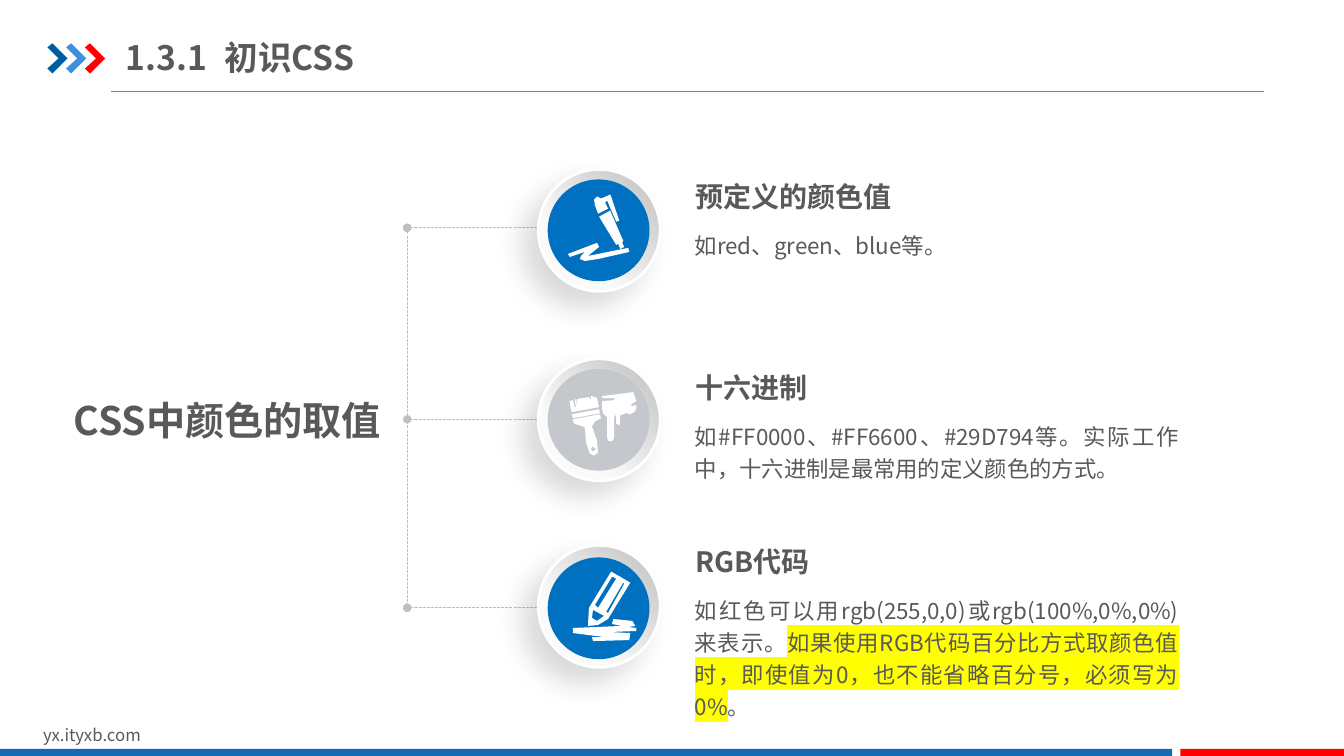
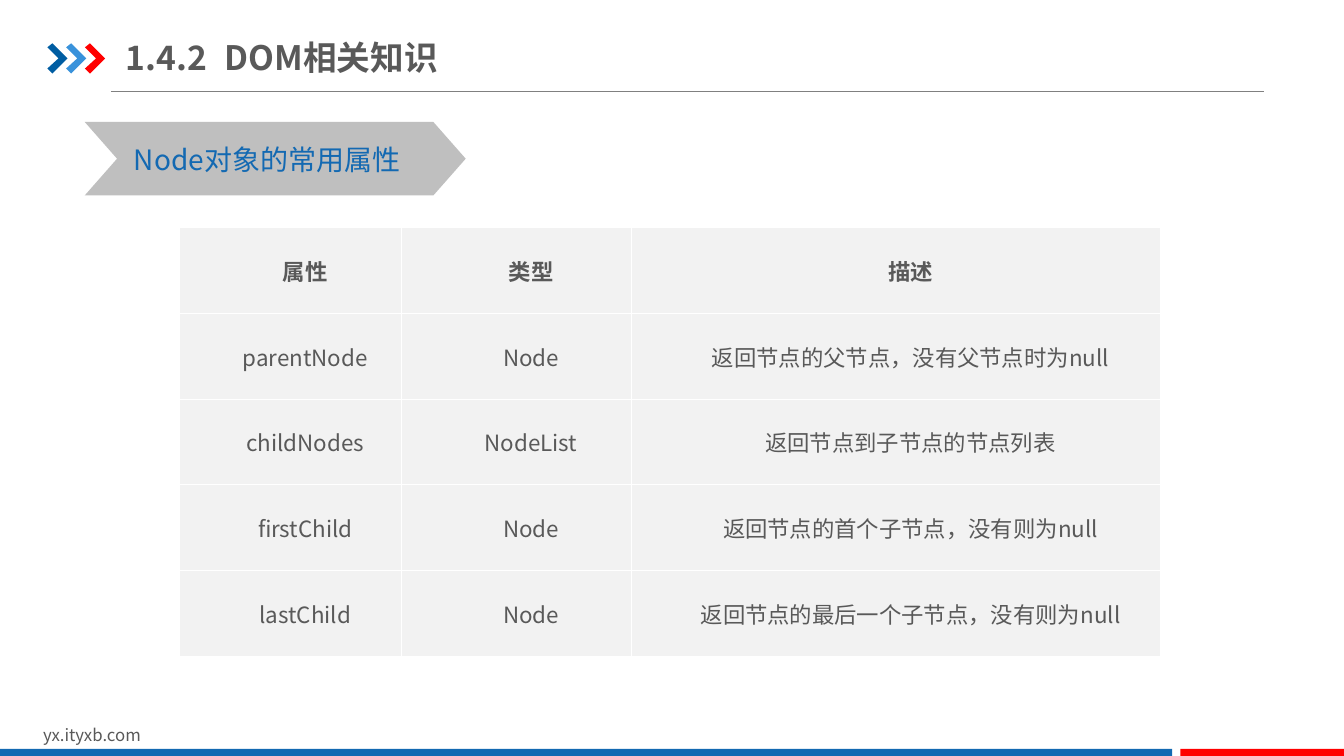
"""Build two course slides on CSS colour values and DOM node properties."""
import lxml.etree
import pptx
import pptx.dml.color
import pptx.enum.dml
import pptx.enum.shapes
import pptx.enum.text
import pptx.oxml.ns
import pptx.util

COLS, ROWS = 80, 45
FONT = "Noto Sans CJK SC"
GREY, BLUE, RED, WHITE = "595959", "1369B2", "FF0000", "FFFFFF"
SILVER, YELLOW = "BFBFBF", "FFFF00"
DISC_BLUE, DISC_GREY = "0070C0", "C4C7CB"
ALIGN = pptx.enum.text.PP_ALIGN
ANCHOR = pptx.enum.text.MSO_ANCHOR
SHAPE = pptx.enum.shapes.MSO_SHAPE
STRAIGHT = pptx.enum.shapes.MSO_CONNECTOR.STRAIGHT

FONTS = {
    name: {"name": FONT, "size": pptx.util.Pt(size), "bold": bold}
    for name, size, bold in [
        ("title", 24, True), ("topic", 28, True), ("heading", 20, True),
        ("label", 20, False), ("body", 16, False), ("header", 16, True),
        ("footer", 12, False)]
}
PARAGRAPHS = {
    "title": {"alignment": ALIGN.LEFT},
    "body": {"alignment": ALIGN.JUSTIFY, "line_spacing": 1.2},
}

ARROW = [[(0, 4), (5, 0), (20, 15), (5, 30), (0, 25), (11, 15)]]
PEN = [
    [(51, 37), (62, 31), (75, 61), (74, 63), (76, 67), (72, 69), (70, 64), (68, 65)],
    [(20, 74), (22, 77), (37, 72), (33, 76), (32, 79), (37, 81), (50, 79), (81, 72),
     (80, 68), (40, 76), (51, 67), (49, 63)],
    [(53, 19), (49, 17), (46, 20), (47, 26), (50, 34), (60, 29), (57, 23), (59, 21),
     (68, 42), (71, 41), (63, 17), (62, 15), (60, 16)],
]
BRUSHES = [
    [(72, 46), (72, 54), (71, 56), (68, 54), (68, 45), (66, 48), (66, 68), (65, 71),
     (62, 72), (60, 71), (59, 68), (59, 48), (55, 44), (54, 39), (54, 32), (66, 31),
     (67, 29), (54, 29), (54, 27), (85, 23), (88, 32), (83, 35), (83, 37), (88, 36),
     (88, 39), (86, 43), (82, 45), (78, 44)],
    [(24, 45), (51, 40), (52, 44), (25, 49)],
    [(52, 45), (25, 50), (26, 54), (37, 58), (38, 73), (42, 84), (46, 86), (50, 83),
     (49, 71), (44, 57), (47, 52), (53, 49)],
    [(44, 77), (48, 79), (45, 82), (43, 80)],
    [(51, 38), (49, 29), (44, 27), (43, 27), (43, 31), (41, 28), (29, 30), (30, 38),
     (28, 30), (27, 31), (28, 38), (27, 38), (25, 31), (22, 32), (22, 35), (24, 43)],
]
PENCIL = [
    [(63, 14), (82, 25), (60, 61), (50, 67), (40, 68), (41, 50)],
    [(81, 82), (82, 75), (61, 74), (88, 73), (88, 70), (80, 69), (87, 68), (84, 63),
     (65, 61), (64, 66), (73, 68), (25, 70), (25, 75), (56, 79), (44, 79), (45, 83)],
    [(49, 63), (56, 58), (45, 52), (44, 60)],
    [(75, 25), (58, 54), (60, 55), (76, 26)],
    [(64, 19), (47, 47), (50, 50), (68, 21)],
]


def rgb(color):
    """Return the colour for a hex string."""
    return pptx.dml.color.RGBColor.from_string(color)


def paint(fill, color):
    """Give a shape, line or font fill one solid colour."""
    fill.solid()
    fill.fore_color.rgb = rgb(color)


def apply(target, values):
    """Set each attribute named in a dict of format values."""
    for key, value in values.items():
        setattr(target, key, value)


def add_xml(parent, tag, **attributes):
    """Append a DrawingML element and return it."""
    element = lxml.etree.SubElement(parent, pptx.oxml.ns.qn("a:" + tag))
    for key, value in attributes.items():
        element.set(key, str(value))
    return element


class Deck:
    """Hold the presentation style and the current slide."""

    def __init__(self):
        """Start a widescreen presentation."""
        self.prs = pptx.Presentation()
        self.prs.slide_width = pptx.util.Inches(13.333333)
        self.prs.slide_height = pptx.util.Inches(7.5)
        self.s = None

    def x(self, cols):
        """Convert grid columns to a length."""
        return pptx.util.Emu(round(self.prs.slide_width * cols / COLS))

    def y(self, rows):
        """Convert grid rows to a length."""
        return pptx.util.Emu(round(self.prs.slide_height * rows / ROWS))

    def box(self, left, top, width, height):
        """Convert a grid box to lengths."""
        return self.x(left), self.y(top), self.x(width), self.y(height)

    def slide(self, number, title):
        """Add a slide with its title, arrows, rule and footer."""
        self.s = self.prs.slides.add_slide(self.prs.slide_layouts[5])
        self.line((6.6, 5.46), (75.24, 5.46), "808080")
        for i, color in enumerate(["005DA2", "3992DB", RED]):
            self.polygon(2.82 + 1.12 * i, 2.58, ARROW, color)
        self.text((1.98, 42.84, 19.08, 1.8), "yx.ityxb.com", "footer", inset=(0.6, 0.3))
        self.shape(SHAPE.RECTANGLE, (0, 44.58, 69.78, 0.54), BLUE)
        self.shape(SHAPE.RECTANGLE, (70.26, 44.58, 9.74, 0.54), RED)
        sp = self.s.shapes.title
        sp.left, sp.top, sp.width, sp.height = self.box(7.5, 1.74, 25.56, 3.3)
        p = sp.text_frame.paragraphs[0]
        tabs = add_xml(p._p.get_or_add_pPr(), "tabLst")
        add_xml(tabs, "tab", pos=self.x(5.88), algn="l")
        self.fill_frame(sp.text_frame, f"{number}\t{title}", "title", inset=(0, 0.42))
        sp.text_frame.vertical_anchor = ANCHOR.MIDDLE

    def run(self, p, text, kind, color=GREY, highlight=None):
        """Add a styled run to a paragraph."""
        r = p.add_run()
        r.text = text
        apply(r.font, FONTS[kind])
        paint(r.font.fill, color)
        rpr = r._r.get_or_add_rPr()
        latin = rpr.find(pptx.oxml.ns.qn("a:latin"))
        latin.addnext(add_xml(rpr, "ea", typeface=FONT))
        if highlight:
            mark = add_xml(rpr, "highlight")
            add_xml(mark, "srgbClr", val=highlight)
            latin.addprevious(mark)

    def fill_frame(self, tf, parts, kind, color=GREY, inset=(0, 0), wrap=True):
        """Write one paragraph of plain or highlighted parts."""
        side, end = self.x(inset[0]), self.y(inset[1])
        apply(tf, {"margin_left": side, "margin_right": side, "margin_top": end,
                   "margin_bottom": end, "word_wrap": wrap,
                   "auto_size": pptx.enum.text.MSO_AUTO_SIZE.NONE})
        p = tf.paragraphs[0]
        apply(p, PARAGRAPHS.get(kind, {}))
        for part in [parts] if isinstance(parts, str) else parts:
            text, highlight = (part, None) if isinstance(part, str) else part
            self.run(p, text, kind, color, highlight)

    def text(self, box, parts, kind, **options):
        """Add a text box."""
        tb = self.s.shapes.add_textbox(*self.box(*box))
        self.fill_frame(tb.text_frame, parts, kind, **options)

    def shape(self, preset, box, color):
        """Add a flat preset shape without a line."""
        sp = self.s.shapes.add_shape(preset, *self.box(*box))
        self.flatten(sp, color)
        return sp

    def flatten(self, sp, color):
        """Remove the shadow and line and set the fill."""
        sp.shadow.inherit = False
        sp.line.fill.background()
        paint(sp.fill, color)

    def polygon(self, left, top, contours, color):
        """Add a shape of closed contours in hundredths of six columns."""
        shapes, scale = self.s.shapes, self.x(6) / 100
        fb = shapes.build_freeform(*contours[0][0], scale=scale)
        for i, (start, *rest) in enumerate(contours):
            if i:
                fb.move_to(*start)
            fb.add_line_segments(rest, close=True)
        self.flatten(fb.convert_to_shape(self.x(left), self.y(top)), color)

    def line(self, start, end, color, dotted=False):
        """Add a thin line, dashed with round ends if dotted."""
        cn = self.s.shapes.add_connector(
            STRAIGHT, self.x(start[0]), self.y(start[1]), self.x(end[0]), self.y(end[1]))
        cn.line.width = pptx.util.Pt(0.75)
        paint(cn.line.fill, color)
        if dotted:
            cn.line.dash_style = pptx.enum.dml.MSO_LINE.SQUARE_DOT
            for tag in ("headEnd", "tailEnd"):
                add_xml(cn.line._get_or_add_ln(), tag, type="oval")
        add_xml(cn._element.spPr, "effectLst")

    def disc(self, left, top):
        """Add a raised disc with a gradient and a soft shadow."""
        sp = self.shape(SHAPE.OVAL, (left, top, 7.26, 7.26), WHITE)
        sp.fill.gradient()
        sp.fill.gradient_angle = 225
        for stop, (position, color) in zip(
                sp.fill.gradient_stops, [(0, SILVER), (0.7, "FAFAFA")]):
            stop.position = position
            stop.color.rgb = rgb(color)
        paint(sp.line.fill, WHITE)
        sp.line.width = pptx.util.Pt(2)
        effects = sp._element.spPr.find(pptx.oxml.ns.qn("a:effectLst"))
        shadow = add_xml(effects, "outerShdw", blurRad=pptx.util.Pt(20),
                         dist=pptx.util.Pt(15), dir=135 * 60000, algn="tr",
                         rotWithShape=0)
        add_xml(add_xml(shadow, "srgbClr", val="000000"), "alpha", val=15000)

    def cell(self, cell, text, kind):
        """Fill and border a table cell and write its centred text."""
        tcpr = cell._tc.get_or_add_tcPr()
        for tag in ("lnL", "lnR", "lnT", "lnB"):
            ln = add_xml(tcpr, tag, w=pptx.util.Pt(1))
            add_xml(add_xml(ln, "solidFill"), "srgbClr", val=WHITE)
        paint(cell.fill, "F2F2F2")
        apply(cell, {"margin_left": self.x(0.42), "margin_right": self.x(0.42),
                     "margin_top": 0, "margin_bottom": 0,
                     "vertical_anchor": ANCHOR.MIDDLE})
        p = cell.text_frame.paragraphs[0]
        p.alignment = ALIGN.CENTER
        p._p.get_or_add_pPr().set("indent", str(self.x(1.74)))
        self.run(p, text, kind)

    def table(self, left, top, widths, row_height, rows):
        """Add a table whose first row is the header."""
        box = self.box(left, top, sum(widths), row_height * len(rows))
        table = self.s.shapes.add_table(len(rows), len(widths), *box).table
        apply(table, {"first_row": False, "horz_banding": False})
        for column, width in zip(table.columns, widths):
            column.width = self.x(width)
        for i, texts in enumerate(rows):
            table.rows[i].height = self.y(row_height)
            for j, text in enumerate(texts):
                self.cell(table.cell(i, j), text, "body" if i else "header")


def colour_slide(deck):
    """Show the three ways to write a CSS colour."""
    deck.slide("1.3.1", "初识CSS")
    branches = [13.56, 24.96, 36.18]
    for row in branches:
        deck.line((35.88, row), (24.24, row), SILVER, dotted=True)
    deck.line((24.24, branches[0]), (24.24, branches[-1]), SILVER, dotted=True)
    items = [
        (10.08, 10.68, 10.68, DISC_BLUE, PEN, "预定义的颜色值", ["如red、green、blue等。"]),
        (21.36, 21.96, 22.08, DISC_GREY, BRUSHES, "十六进制",
         ["如#FF0000、#FF6600、#29D794等。实际工作中，十六进制是最常用的定义颜色的方式。"]),
        (32.46, 33.18, 32.4, DISC_BLUE, PENCIL, "RGB代码",
         ["如红色可以用rgb(255,0,0)或rgb(100%,0%,0%)来表示。",
          ("如果使用RGB代码百分比方式取颜色值时，即使值为0，也不能省略百分号，必须写为0%", YELLOW),
          "。"]),
    ]
    for disc_top, icon_top, text_top, color, icon, heading, body in items:
        deck.disc(32.04, disc_top)
        deck.shape(SHAPE.OVAL, (32.6, icon_top, 6.06, 6.06), color)
        deck.polygon(32.6, icon_top, icon, WHITE)
        deck.text((41.4, text_top, 13.02, 2.16), heading, "heading")
        deck.text((41.36, text_top + 2.8, 28.8, 5.82), body, "body")
    deck.text((4.38, 23.58, 19.08, 2.16), "CSS中颜色的取值", "topic")


def node_slide(deck):
    """List the common properties of a Node object."""
    deck.slide("1.4.2", "DOM相关知识")
    sp = deck.shape(SHAPE.CHEVRON, (5.04, 7.26, 22.68, 4.38), SILVER)
    sp.adjustments[0] = 0.44
    deck.text((7.38, 8.16, 17.46, 2.64), "Node对象的常用属性", "label",
              color=BLUE, inset=(0.6, 0.3), wrap=False)
    deck.table(10.7, 13.56, [13.2, 13.68, 31.5], 5.1, [
        ("属性", "类型", "描述"),
        ("parentNode", "Node", "返回节点的父节点，没有父节点时为null"),
        ("childNodes", "NodeList", "返回节点到子节点的节点列表"),
        ("firstChild", "Node", "返回节点的首个子节点，没有则为null"),
        ("lastChild", "Node", "返回节点的最后一个子节点，没有则为null"),
    ])


def main():
    """Build and save the slides."""
    deck = Deck()
    colour_slide(deck)
    node_slide(deck)
    deck.prs.save("out.pptx")


if __name__ == "__main__":
    main()
